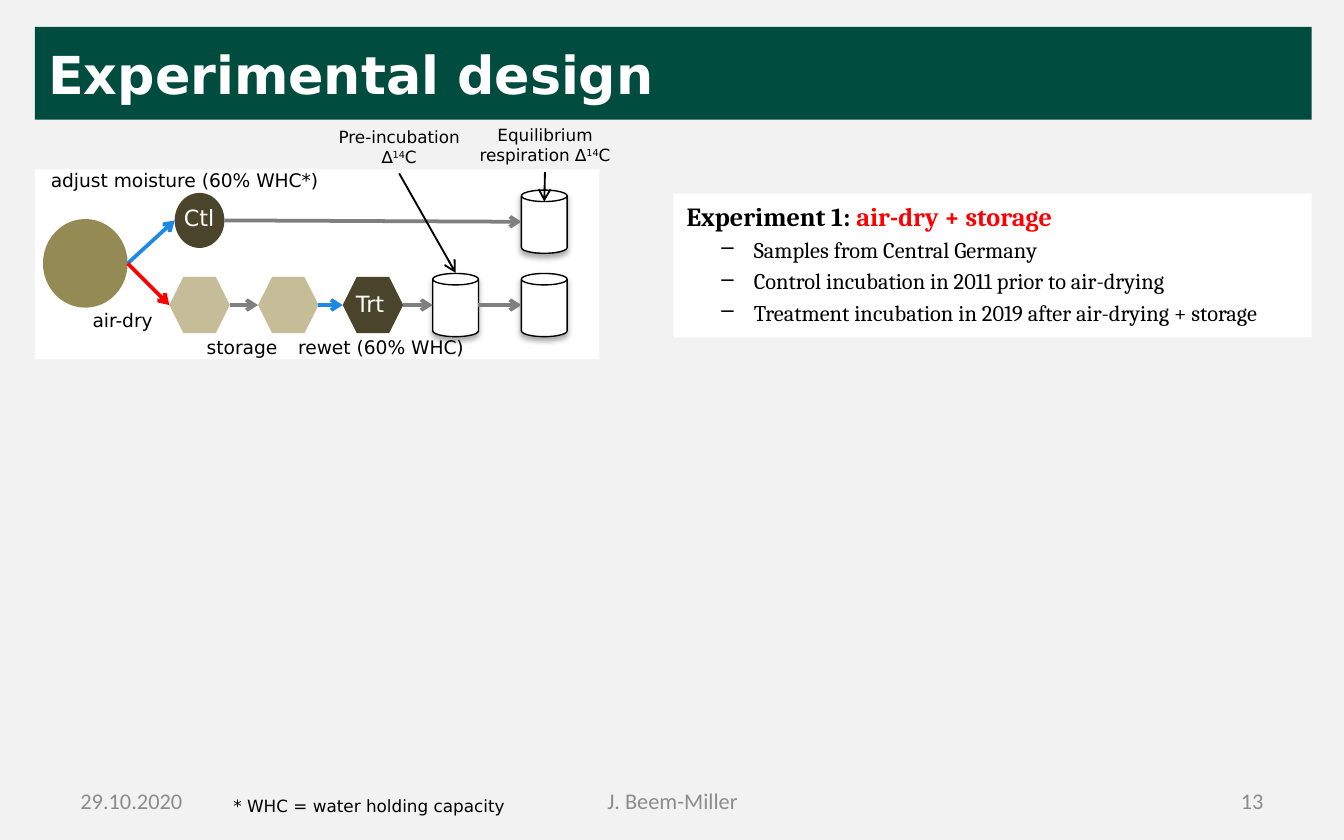
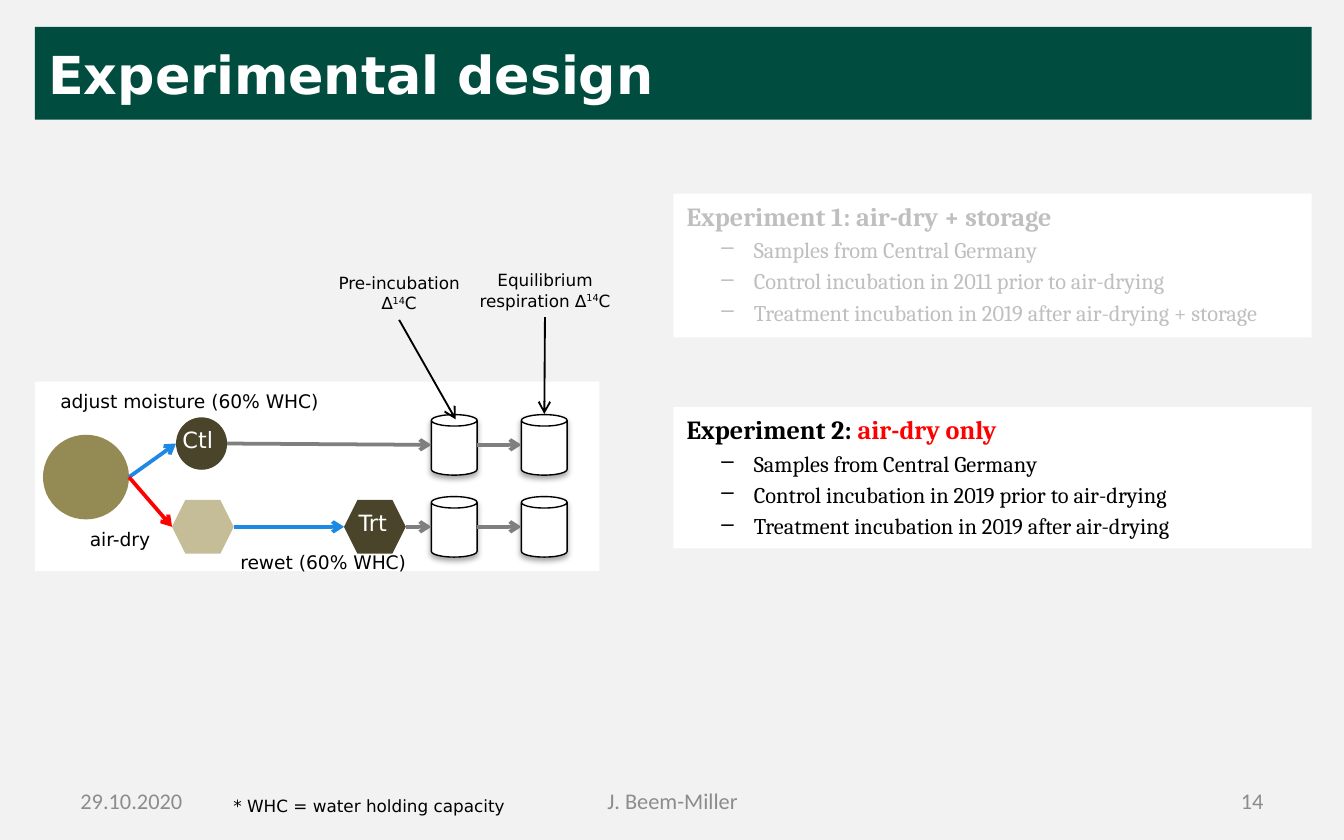
from lxml import etree
from pptx import Presentation
from pptx.dml.color import RGBColor
from pptx.enum.shapes import MSO_CONNECTOR, MSO_SHAPE
from pptx.enum.text import MSO_ANCHOR, MSO_AUTO_SIZE, PP_ALIGN
from pptx.oxml.ns import qn
from pptx.util import Inches, Pt

RECT, OVAL, HEXAGON, CAN = MSO_SHAPE.RECTANGLE, MSO_SHAPE.OVAL, MSO_SHAPE.HEXAGON, MSO_SHAPE.CAN
LEFT, CENTER, RIGHT = PP_ALIGN.LEFT, PP_ALIGN.CENTER, PP_ALIGN.RIGHT
TOP, MIDDLE = MSO_ANCHOR.TOP, MSO_ANCHOR.MIDDLE

BACKGROUND = RGBColor(0xF2, 0xF2, 0xF2)
GREEN = RGBColor(0x00, 0x4D, 0x40)
WHITE = RGBColor(0xFF, 0xFF, 0xFF)
BLACK = RGBColor(0x00, 0x00, 0x00)
RED = RGBColor(0xFF, 0x00, 0x00)
BLUE = RGBColor(0x1E, 0x88, 0xE5)
GRAY = RGBColor(0x7F, 0x7F, 0x7F)
FADED = RGBColor(0xBF, 0xBF, 0xBF)
FOOTER = RGBColor(0x8C, 0x8C, 0x8C)
SOIL = RGBColor(0x94, 0x8A, 0x54)
DRY = RGBColor(0xC4, 0xBD, 0x97)
MOIST = RGBColor(0x4A, 0x45, 0x2A)

SANS, SERIF, FOOTER_FONT = "DejaVu Sans", "Cambria", "Calibri"

EXPERIMENT_1 = ("Experiment 1: ", "air-dry + storage", [
    "Samples from Central Germany",
    "Control incubation in 2011 prior to air-drying",
    "Treatment incubation in 2019 after air-drying + storage"])
EXPERIMENT_2 = ("Experiment 2: ", "air-dry only", [
    "Samples from Central Germany",
    "Control incubation in 2019 prior to air-drying",
    "Treatment incubation in 2019 after air-drying"])

SLIDES = [
    {
        "number": "13",
        "band_top": 1.26,
        "nodes": {
            "soil": (OVAL, SOIL, 0.32, 1.96, 0.63, 0.66),
            "ctl": (OVAL, MOIST, 1.3, 1.64, 0.37, 0.41),
            "dry": (HEXAGON, DRY, 1.26, 2.27, 0.45, 0.42),
            "stored": (HEXAGON, DRY, 1.92, 2.27, 0.45, 0.42),
            "trt": (HEXAGON, MOIST, 2.55, 2.27, 0.45, 0.42),
            "ctl_eq": (CAN, WHITE, 3.88, 1.65, 0.34, 0.47),
            "trt_pre": (CAN, WHITE, 3.22, 2.27, 0.34, 0.47),
            "trt_eq": (CAN, WHITE, 3.88, 2.27, 0.34, 0.47),
        },
        "flows": [("soil", "ctl", BLUE), ("soil", "dry", RED), ("ctl", "ctl_eq", GRAY),
                  ("dry", "stored", GRAY), ("stored", "trt", BLUE),
                  ("trt", "trt_pre", GRAY), ("trt_pre", "trt_eq", GRAY)],
        "labels": [("Ctl", 1.27, 1.47, 0.43, 0.3, 12, WHITE),
                   ("Trt", 2.55, 2.11, 0.43, 0.3, 12, WHITE),
                   ("air-dry", 0.59, 2.25, 0.68, 0.27, 10, BLACK),
                   ("adjust moisture (60% WHC*)", 0.28, 1.21, 2.3, 0.27, 10, BLACK),
                   ("storage", 1.44, 2.45, 0.73, 0.27, 10, BLACK),
                   ("rewet (60% WHC)", 2.12, 2.45, 1.5, 0.27, 10, BLACK)],
        "callouts": [("Pre-incubation ∆", 2.32, 0.89, 1.3, (3.39, 2.03)),
                     ("Equilibrium respiration ∆", 3.36, 0.88, 1.39, (4.05, 1.5))],
        "panels": [(EXPERIMENT_1, 1.44, 1.07, BLACK, RED)],
    },
    {
        "number": "14",
        "band_top": 2.84,
        "nodes": {
            "soil": (OVAL, SOIL, 0.32, 3.55, 0.64, 0.63),
            "ctl": (OVAL, MOIST, 1.31, 3.3, 0.38, 0.39),
            "dry": (HEXAGON, DRY, 1.28, 3.92, 0.46, 0.4),
            "trt": (HEXAGON, MOIST, 2.56, 3.92, 0.46, 0.4),
            "ctl_pre": (CAN, WHITE, 3.21, 3.31, 0.34, 0.45),
            "ctl_eq": (CAN, WHITE, 3.88, 3.31, 0.34, 0.45),
            "trt_pre": (CAN, WHITE, 3.21, 3.92, 0.34, 0.45),
            "trt_eq": (CAN, WHITE, 3.88, 3.92, 0.34, 0.45),
        },
        "flows": [("soil", "ctl", BLUE), ("soil", "dry", RED), ("dry", "trt", BLUE),
                  ("ctl", "ctl_pre", GRAY), ("ctl_pre", "ctl_eq", GRAY),
                  ("trt", "trt_pre", GRAY), ("trt_pre", "trt_eq", GRAY)],
        "labels": [("Ctl", 1.26, 3.12, 0.43, 0.3, 12, WHITE),
                   ("Trt", 2.57, 3.74, 0.43, 0.3, 12, WHITE),
                   ("air-dry", 0.57, 3.88, 0.68, 0.27, 10, BLACK),
                   ("adjust moisture (60% WHC)", 0.35, 2.85, 2.21, 0.27, 10, BLACK),
                   ("rewet (60% WHC)", 1.69, 4.05, 1.5, 0.27, 10, BLACK)],
        "callouts": [("Pre-incubation ∆", 2.32, 1.98, 1.3, (3.39, 3.12)),
                     ("Equilibrium respiration ∆", 3.36, 1.96, 1.39, (4.05, 3.08))],
        "panels": [(EXPERIMENT_1, 1.44, 1.07, FADED, FADED),
                   (EXPERIMENT_2, 3.03, 1.05, BLACK, RED)],
    },
]


def add_text(s, x, y, w, h, texts, size, font=SANS, color=BLACK, align=LEFT, anchor=TOP, wrap=True):
    tf = s.shapes.add_textbox(Inches(x), Inches(y), Inches(w), Inches(h)).text_frame
    tf.word_wrap = wrap
    tf.vertical_anchor = anchor
    p = tf.paragraphs[0]
    p.alignment = align
    for text in texts:
        r = p.add_run()
        r.text = text
        r.font.size = Pt(size)
        r.font.name = font
        r.font.color.rgb = color
    return p


def add_arrow(shapes, start, end, color, width):
    c = shapes.add_connector(MSO_CONNECTOR.STRAIGHT, *[Inches(v) for v in (*start, *end)])
    c.line.color.rgb = color
    c.line.width = Pt(width)
    spPr = c._element.spPr
    etree.SubElement(spPr.find(qn("a:ln")), qn("a:tailEnd"), type="arrow")
    etree.SubElement(spPr, qn("a:effectLst"))


prs = Presentation()
prs.slide_width, prs.slide_height = Inches(10), Inches(6.25)
fill = prs.slide_master.background.fill
fill.solid()
fill.fore_color.rgb = BACKGROUND

for slide in SLIDES:
    s = prs.slides.add_slide(prs.slide_layouts[5])

    title = s.shapes.title
    title.left, title.top, title.width, title.height = Inches(0.26), Inches(0.2), Inches(9.5), Inches(0.69)
    title.fill.solid()
    title.fill.fore_color.rgb = GREEN
    tf = title.text_frame
    tf.auto_size = MSO_AUTO_SIZE.NONE
    tf.vertical_anchor = MIDDLE
    p = tf.paragraphs[0]
    p.alignment = LEFT
    r = p.add_run()
    r.text = "Experimental design"
    r.font.size = Pt(28)
    r.font.name = SANS
    r.font.bold = True
    r.font.color.rgb = WHITE

    for text, x, w, align in [("29.10.2020", 0.5, 2.33, LEFT),
                              ("J. Beem-Miller", 3.42, 3.17, CENTER),
                              (slide["number"], 7.17, 2.33, RIGHT)]:
        add_text(s, x, 5.79, w, 0.33, [text], 12, FOOTER_FONT, FOOTER, align, MIDDLE)
    add_text(s, 1.62, 5.87, 2.25, 0.25, ["* WHC = water holding capacity"], 9, align=CENTER)

    for (heading, treatment, bullets), y, h, color, accent in slide["panels"]:
        sp = s.shapes.add_shape(RECT, Inches(5.01), Inches(y), Inches(4.75), Inches(h))
        sp.shadow.inherit = False
        sp.fill.solid()
        sp.fill.fore_color.rgb = WHITE
        sp.line.fill.background()
        tf = sp.text_frame
        tf.word_wrap = True
        tf.vertical_anchor = TOP
        rows = [[(heading, color), (treatment, accent)]] + [[(b, color)] for b in bullets]
        for i, row in enumerate(rows):
            p = tf.paragraphs[0] if i == 0 else tf.add_paragraph()
            size = 12 if i else 14
            p.alignment = LEFT
            p.space_before = Pt(size * 0.2)
            if i:
                p.level = 1
                pPr = p._p.get_or_add_pPr()
                pPr.set("marL", str(Inches(0.5)))
                pPr.set("indent", str(Inches(-0.24)))
                if i == len(bullets):
                    p.space_after = Pt(6)
                etree.SubElement(pPr, qn("a:buChar"), char="–")
            for text, run_color in row:
                r = p.add_run()
                r.text = text
                r.font.size = Pt(size)
                r.font.name = SERIF
                r.font.bold = i == 0
                r.font.color.rgb = run_color

    band = s.shapes.add_shape(RECT, Inches(0.26), Inches(slide["band_top"]), Inches(4.2), Inches(1.41))
    band.shadow.inherit = False
    band.fill.solid()
    band.fill.fore_color.rgb = WHITE
    band.line.fill.background()

    nodes = slide["nodes"]
    diagram = s.shapes.add_group_shape()
    for kind, color, x, mid, w, h in nodes.values():
        sp = diagram.shapes.add_shape(kind, Inches(x), Inches(mid - h / 2), Inches(w), Inches(h))
        sp.shadow.inherit = False
        sp.fill.solid()
        sp.fill.fore_color.rgb = color
        if kind == CAN:
            sp.line.color.rgb = BLACK
            sp.line.width = Pt(0.75)
            effects = sp._element.spPr.find(qn("a:effectLst"))
            shadow = etree.SubElement(effects, qn("a:outerShdw"), blurRad=str(Pt(3.1)),
                                      dist=str(Pt(1.8)), dir="5400000", rotWithShape="0")
            black = etree.SubElement(shadow, qn("a:srgbClr"), val="000000")
            etree.SubElement(black, qn("a:alpha"), val="35000")
        else:
            sp.line.fill.background()
    for source, target, color in slide["flows"]:
        _, _, x, mid, w, _ = nodes[source]
        add_arrow(diagram.shapes, (x + w, mid), nodes[target][2:4], color, 2)

    for text, x, y, w, h, size, color in slide["labels"]:
        add_text(s, x, y, w, h, [text], size, color=color, wrap=False)
    for text, x, y, w, tip in slide["callouts"]:
        p = add_text(s, x, y, w, 0.4, [text, "14", "C"], 9, align=CENTER)
        p.runs[1]._r.get_or_add_rPr().set("baseline", "30000")
        add_arrow(s.shapes, (x + w / 2, y + 0.4), tip, BLACK, 1)

prs.save("out.pptx")
